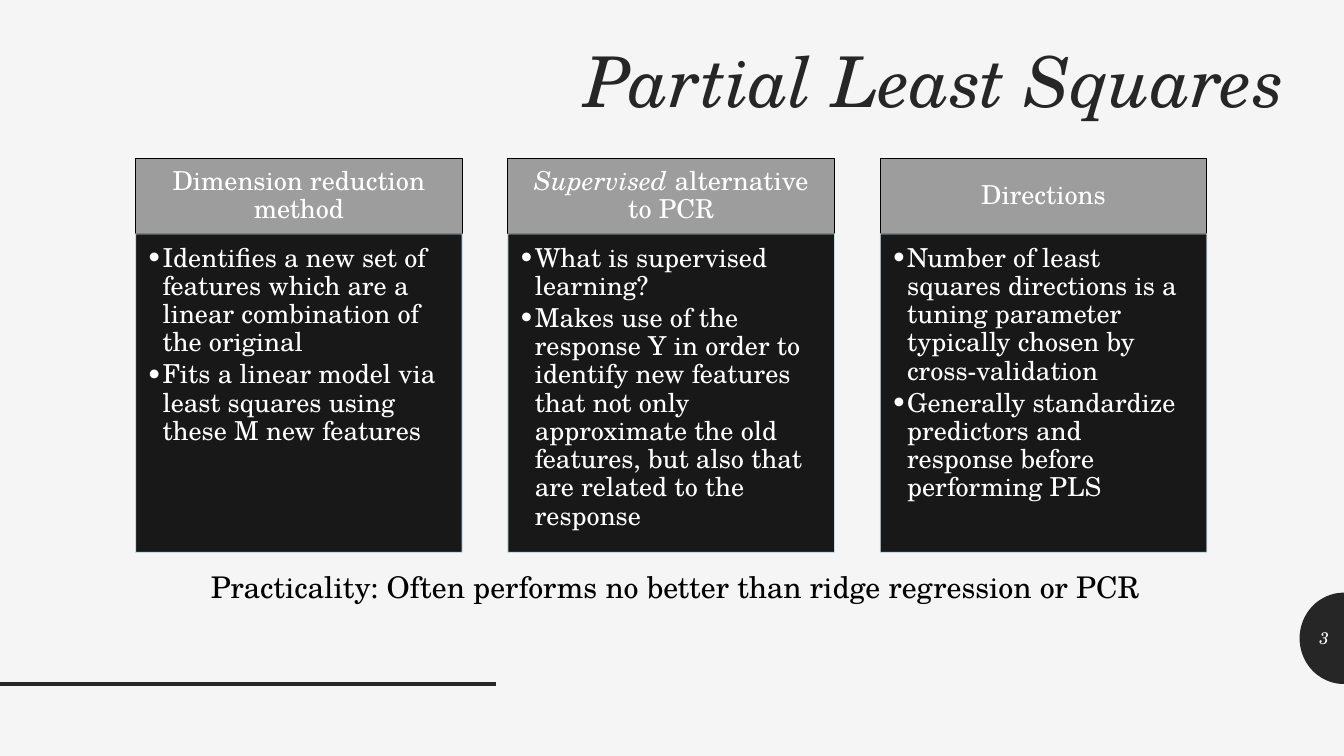
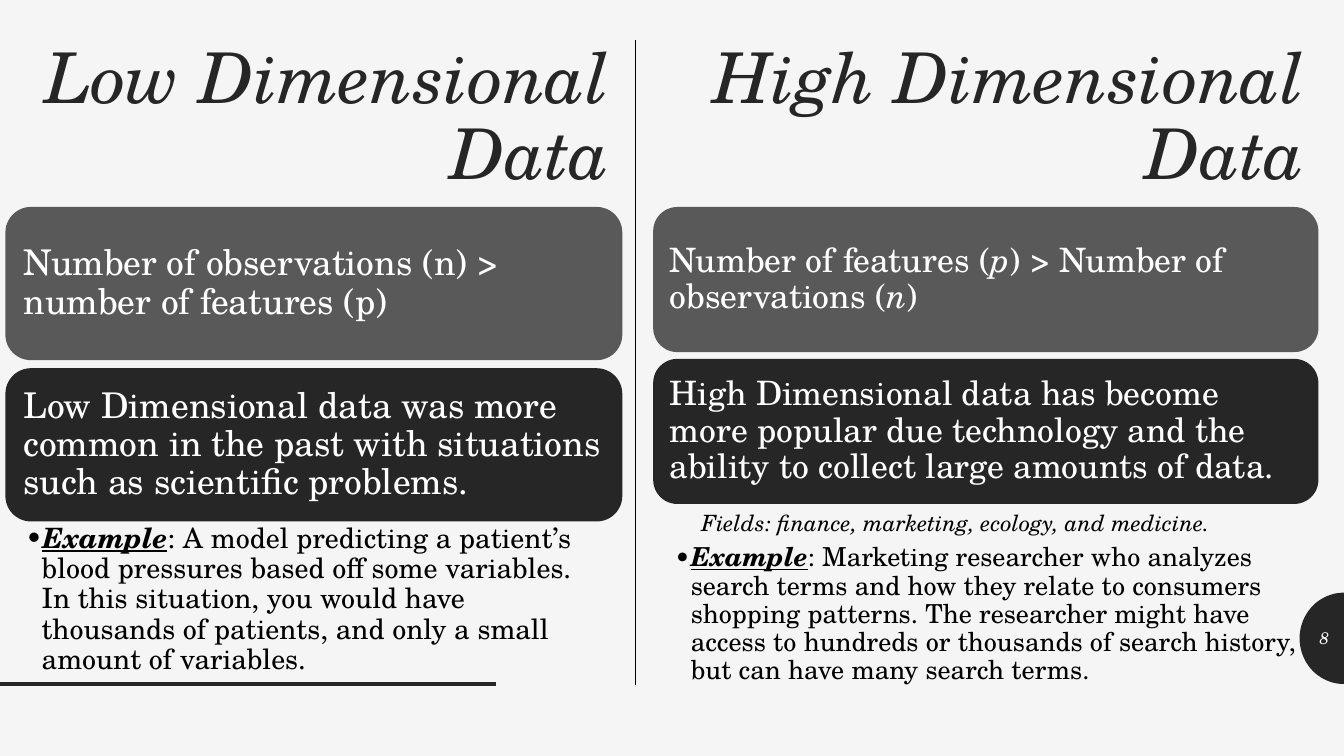
from math import cos, pi, sin

from lxml.etree import SubElement
from pptx import Presentation
from pptx.dml.color import RGBColor
from pptx.enum.shapes import MSO_CONNECTOR, MSO_SHAPE
from pptx.enum.text import MSO_ANCHOR, MSO_AUTO_SIZE, PP_ALIGN
from pptx.oxml.ns import qn
from pptx.util import Inches, Pt

FONT = "TeX Gyre Schola"
PAPER, DARK, SLATE, GREY = "F5F5F5", "262626", "595959", "9D9D9D"
BLACK, WHITE, EDGE = "000000", "FFFFFF", "CFDFE6"


def tint(fmt, color, alpha=None):
    """Give a fill a solid colour, with an optional opacity in percent."""
    fmt.solid()
    fmt.fore_color.rgb = RGBColor.from_string(color)
    if alpha:
        node = fmt._xPr.find(qn("a:solidFill"))[0]
        SubElement(node, qn("a:alpha")).set("val", str(alpha * 1000))


def add_bullet(para):
    props = para._p.get_or_add_pPr()
    props.set("marL", str(Inches(0.12)))
    props.set("indent", str(Inches(-0.12)))
    SubElement(props, qn("a:buFont")).set("typeface", FONT)
    SubElement(props, qn("a:buChar")).set("char", "•")


def write(frame, paras, size, color, pad=(0.1, 0.05, 0.1, 0.05), align=PP_ALIGN.LEFT,
          anchor=MSO_ANCHOR.TOP, lead=0.9, after=0, bullet=False, italic=False, wrap=True):
    """Fill a frame; a paragraph is a string or a list of (text, style letters)."""
    frame.word_wrap = wrap
    frame.auto_size = MSO_AUTO_SIZE.NONE
    frame.vertical_anchor = anchor
    (frame.margin_left, frame.margin_top,
     frame.margin_right, frame.margin_bottom) = map(Inches, pad)
    for i, runs in enumerate(paras):
        para = frame.add_paragraph() if i else frame.paragraphs[0]
        if bullet:
            add_bullet(para)
        para.alignment = align
        para.line_spacing = lead
        para.space_before = Pt(0)
        para.space_after = Pt(after)
        font = para.font
        font.name, font.size, font.italic = FONT, Pt(size), italic
        font.color.rgb = RGBColor.from_string(color)
        for text, style in [(runs, "")] if isinstance(runs, str) else runs:
            run = para.add_run()
            run.text = text
            if "i" in style:
                run.font.italic = True
            if "b" in style:
                run.font.bold = True
            if "u" in style:
                run.font.underline = True


def add_note(slide, box, paras, size, color=BLACK, **look):
    note = slide.shapes.add_textbox(*map(Inches, box))
    write(note.text_frame, paras, size, color, **look)


def style_title(shape, box, text):
    shape.left, shape.top, shape.width, shape.height = map(Inches, box)
    write(shape.text_frame, [text], 37.5, DARK, pad=(0.1,) * 4,
          align=PP_ALIGN.RIGHT, italic=True)


def add_panel(slide, kind, box, fill, edge=None, alpha=None):
    panel = slide.shapes.add_shape(kind, *map(Inches, box))
    panel.shadow.inherit = False
    tint(panel.fill, fill, alpha)
    if edge:
        panel.line.width = Pt(0.5)
        tint(panel.line.fill, edge, alpha)
    else:
        panel.line.fill.background()
    return panel


def add_rule(slide, start, end, color, width):
    rule = slide.shapes.add_connector(MSO_CONNECTOR.STRAIGHT, *map(Inches, start + end))
    tint(rule.line.fill, color)
    rule.line.width = Pt(width)
    SubElement(rule._element.spPr, qn("a:effectLst"))


def add_badge(slide, number):
    """Draw the half disc at the right edge with the page number."""
    turns = [pi / 2 + pi * i / 40 for i in range(41)]
    spots = [(Inches(10 + 0.33 * cos(t)), Inches(4.75 + 0.34 * sin(t))) for t in turns]
    path = slide.shapes.build_freeform(*spots[0])
    path.add_line_segments(spots[1:], close=True)
    disc = path.convert_to_shape()
    disc.shadow.inherit = False
    tint(disc.fill, DARK)
    disc.line.fill.background()
    add_note(slide, (9.72, 4.62, 0.27, 0.25), [number], 9, WHITE,
             lead=1, italic=True, wrap=False)


def add_page(deck, number, title, box):
    slide = deck.slides.add_slide(deck.slide_layouts[5])
    add_badge(slide, number)
    add_rule(slide, (0, 5.09), (3.69, 5.09), DARK, 2)
    style_title(slide.shapes.title, box, title)
    return slide


def add_column(slide, left, head, points):
    top = add_panel(slide, MSO_SHAPE.RECTANGLE, (left, 1.18, 2.43, 0.56), GREY, BLACK)
    write(top.text_frame, [head], 14, WHITE, pad=(0.11, 0.06, 0.11, 0.06),
          align=PP_ALIGN.CENTER, anchor=MSO_ANCHOR.MIDDLE)
    body = add_panel(slide, MSO_SHAPE.RECTANGLE, (left, 1.74, 2.43, 2.37),
                     BLACK, EDGE, alpha=90)
    write(body.text_frame, points, 14, WHITE, pad=(0.08, 0.08, 0.11, 0.12),
          after=2, bullet=True)


def add_cards(slide, left, width, height, gap, size, pad, texts):
    """Stack rounded cards from the same top line."""
    for i, (text, fill) in enumerate(zip(texts, (SLATE, DARK))):
        box = (left, 1.54 + i * (height + gap), width, height)
        card = add_panel(slide, MSO_SHAPE.ROUNDED_RECTANGLE, box, fill)
        write(card.text_frame, [text], size, WHITE, pad=(pad,) * 4,
              anchor=MSO_ANCHOR.MIDDLE)


def build_squares(deck):
    slide = add_page(deck, "3", "Partial Least Squares", (0.34, 0.25, 9.32, 0.63))
    columns = [
        ("Dimension reduction method",
         ["Identifies a new set of features which are a linear combination of the original",
          "Fits a linear model via least squares using these M new features"]),
        ([("Supervised", "i"), (" alternative to PCR", "")],
         ["What is supervised learning?",
          "Makes use of the response Y in order to identify new features that not only "
          "approximate the old features, but also that are related to the response"]),
        ("Directions",
         ["Number of least squares directions is a tuning parameter typically chosen by "
          "cross-validation",
          "Generally standardize predictors and response before performing PLS"]),
    ]
    for i, (head, points) in enumerate(columns):
        add_column(slide, 1.01 + 2.77 * i, head, points)
    add_note(slide, (1.47, 4.18, 8.53, 0.37),
             ["Practicality: Often performs no better than ridge regression or PCR"],
             16, lead=1)


def build_data(deck):
    slide = add_page(deck, "8", "Low Dimensional Data", (-0.05, 0.22, 4.69, 0.63))
    add_cards(slide, 0.04, 4.59, 1.14, 0.06, 19, 0.08, [
        "Number of observations (n) > number of features (p)",
        "Low Dimensional data was more common in the past with situations such as "
        "scientific problems."])
    add_note(slide, (0.04, 3.87, 4.59, 1.18), [[
        ("Example", "biu"),
        (": A model predicting a patient’s blood pressures based off some variables. "
         "In this situation, you would have thousands of patients, and only a small "
         "amount of variables.", "")]],
        15, pad=(0.15, 0.03, 0.15, 0.03), bullet=True)

    other = slide.shapes.add_textbox(0, 0, 0, 0)
    style_title(other, (5.12, 0.22, 4.69, 0.63), "High Dimensional Data")
    add_cards(slide, 4.86, 4.95, 1.08, 0.05, 18, 0.07, [
        [("Number of features (", ""), ("p", "i"), (") > Number of observations (", ""),
         ("n", "i"), (")", "")],
        "High Dimensional data has become more popular due technology and the ability "
        "to collect large amounts of data."])
    add_note(slide, (4.86, 4.02, 4.95, 1.12), [[
        ("Example", "biu"),
        (": Marketing researcher who analyzes search terms and how they relate to "
         "consumers shopping patterns. The researcher might have access to hundreds or "
         "thousands of search history, but can have many search terms.", "")]],
        14, pad=(0.16, 0.03, 0.14, 0.03), bullet=True)
    add_note(slide, (5.12, 3.74, 4.35, 0.52),
             ["Fields: finance, marketing, ecology, and medicine."],
             12, lead=1, italic=True)
    add_rule(slide, (4.73, 0.3), (4.73, 5.1), BLACK, 0.5)


def main():
    deck = Presentation()
    deck.slide_width = Inches(10)
    deck.slide_height = deck.slide_width * 9 // 16
    tint(deck.slide_master.background.fill, PAPER)
    build_squares(deck)
    build_data(deck)
    deck.save("out.pptx")


if __name__ == "__main__":
    main()
